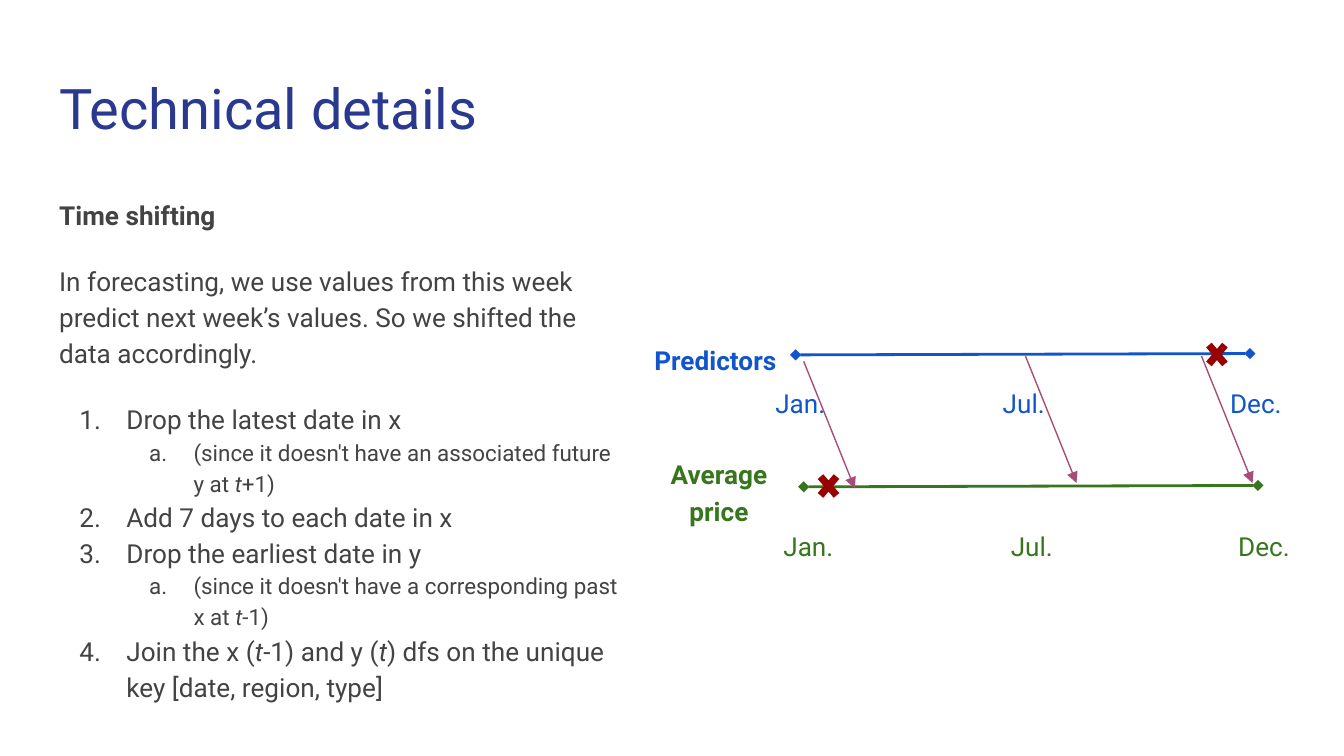
from lxml import etree
from pptx import Presentation
from pptx.dml.color import RGBColor
from pptx.enum.shapes import MSO_CONNECTOR, MSO_SHAPE
from pptx.enum.text import MSO_ANCHOR, MSO_AUTO_SIZE, PP_ALIGN
from pptx.oxml.ns import qn
from pptx.util import Inches, Pt

STRAIGHT = MSO_CONNECTOR.STRAIGHT
CROSS = MSO_SHAPE.MATH_MULTIPLY
TOP = MSO_ANCHOR.TOP
NO_FIT = MSO_AUTO_SIZE.NONE
LEFT, CENTER = PP_ALIGN.LEFT, PP_ALIGN.CENTER

WIDTH, HEIGHT = Inches(10), Inches(5.625)
FONT = "Roboto"
COLORS = {
    "title": "2A3990",
    "body": "434343",
    "predictors": "1155CC",
    "price": "38761D",
    "shift": "A64D79",
    "dropped": "990000",
}
MONTHS = [("Jan.", 5.8), ("Jul.", 5.8), ("Dec.", 6.7)]
MONTH_STEP = 16.92
AXIS_LENGTH = 33.8

# Each step: text pieces (every second one italic) and its list level
STEPS = [
    (["Drop the latest date in x"], 0),
    (["(since it doesn't have an associated future y at ", "t", "+1)"], 1),
    (["Add 7 days to each date in x"], 0),
    (["Drop the earliest date in y"], 0),
    (["(since it doesn't have a corresponding past x at ", "t", "-1)"], 1),
    (["Join the x (", "t", "-1) and y (", "t",
      ") dfs on the unique key [date, region, type]"], 0),
]
LEVELS = [
    {"size": 14, "margin": 0.5, "indent": -0.35, "numbering": "arabicPeriod"},
    {"size": 12, "margin": 1, "indent": -0.33, "numbering": "alphaLcPeriod"},
]


def color(key):
    return RGBColor.from_string(COLORS[key])


def share(*percents):
    """Turn alternating x and y percentages of the slide into lengths."""
    return [round((HEIGHT if i % 2 else WIDTH) * value / 100)
            for i, value in enumerate(percents)]


def set_values(target, values):
    for name, value in values.items():
        setattr(target, name, value)


def place(shape, *box):
    set_values(shape, dict(zip(("left", "top", "width", "height"), share(*box))))


def prepare_frame(frame):
    inset = Inches(0.1)
    set_values(frame, {
        "word_wrap": True, "auto_size": NO_FIT, "vertical_anchor": TOP,
        "margin_left": inset, "margin_right": inset,
        "margin_top": inset, "margin_bottom": inset,
    })


def write(paragraph, pieces, ink, size=14, bold=False, align=LEFT, **spacing):
    """Fill a paragraph with pieces that alternate upright and italic."""
    set_values(paragraph, {"alignment": align, "space_before": Pt(0),
                           "space_after": Pt(0), **spacing})
    for i, piece in enumerate(pieces):
        run = paragraph.add_run()
        run.text = piece
        set_values(run.font, {"name": FONT, "size": Pt(size),
                              "bold": bold, "italic": i % 2 == 1})
        run.font.color.rgb = color(ink)


def set_bullet(paragraph, margin=0, indent=0, numbering=None):
    properties = paragraph._p.get_or_add_pPr()
    properties.set("marL", str(Inches(margin)))
    properties.set("indent", str(Inches(indent)))
    if numbering is None:
        etree.SubElement(properties, qn("a:buNone"))
        return
    ink = etree.SubElement(properties, qn("a:buClr"))
    etree.SubElement(ink, qn("a:srgbClr"), val=COLORS["body"])
    etree.SubElement(properties, qn("a:buFont"), typeface=FONT)
    etree.SubElement(properties, qn("a:buAutoNum"), type=numbering)


def fill_title(title):
    place(title, 3.4, 8, 93.2, 11.74)
    prepare_frame(title.text_frame)
    write(title.text_frame.paragraphs[0], ["Technical details"], "title", 30)


def fill_body(body):
    place(body, 3.4, 24, 43.7, 64.9)
    frame = body.text_frame
    prepare_frame(frame)
    heading = frame.paragraphs[0]
    write(heading, ["Time shifting"], "body", bold=True, line_spacing=1.15)
    set_bullet(heading)
    intro = frame.add_paragraph()
    write(intro, ["In forecasting, we use values from this week predict next "
                  "week’s values. So we shifted the data accordingly."],
          "body", line_spacing=1.15, space_before=Pt(16))
    set_bullet(intro)
    for number, (pieces, depth) in enumerate(STEPS):
        level = LEVELS[depth]
        step = frame.add_paragraph()
        step.level = depth
        write(step, pieces, "body", level["size"], line_spacing=1.15,
              space_before=Pt(0 if number else 16))
        set_bullet(step, level["margin"], level["indent"], level["numbering"])


def add_label(slide, text, box, ink, **style):
    label = slide.shapes.add_textbox(*share(*box))
    prepare_frame(label.text_frame)
    write(label.text_frame.paragraphs[0], [text], ink,
          line_spacing=1.15, space_after=Pt(16), **style)


def add_line(slide, ends, ink, weight, tail, head=None):
    line = slide.shapes.add_connector(STRAIGHT, *share(*ends))
    line.line.color.rgb = color(ink)
    line.line.width = Pt(weight)
    outline = line.line._get_or_add_ln()
    for tag, kind in (("a:headEnd", head), ("a:tailEnd", tail)):
        if kind:
            etree.SubElement(outline, qn(tag), type=kind)
    etree.SubElement(line._element.spPr, qn("a:effectLst"))


def add_timeline(slide, start, level, month_top, ink):
    add_line(slide, (start, level, start + AXIS_LENGTH, level - 0.18),
             ink, 1.5, "diamond", "diamond")
    for i, (month, width) in enumerate(MONTHS):
        add_label(slide, month,
                  (start - 2.5 + i * MONTH_STEP, month_top, width, 7.3), ink)


def add_cross(slide, left, top):
    cross = slide.shapes.add_shape(CROSS, *share(left, top, 2.3, 4.8))
    cross.adjustments[0] = 0.235
    cross.shadow.inherit = False
    cross.fill.solid()
    cross.fill.fore_color.rgb = color("dropped")
    cross.line.fill.background()


def main():
    deck = Presentation()
    set_values(deck, {"slide_width": WIDTH, "slide_height": HEIGHT})
    slide = deck.slides.add_slide(deck.slide_layouts[1])
    fill_title(slide.shapes.title)
    fill_body(slide.placeholders[1])

    add_timeline(slide, 59.8, 64.4, 67.7, "price")
    add_timeline(slide, 59.2, 46.95, 48.9, "predictors")
    add_label(slide, "Predictors", (47.7, 43.2, 11.6, 7.3),
              "predictors", bold=True)
    add_label(slide, "Average price", (48.7, 58.3, 9.6, 11.74),
              "price", bold=True, align=CENTER)

    for start, top in ((59.8, 47.8), (76.3, 47.1), (89.4, 47.1)):
        add_line(slide, (start, top, start + 3.8, top + 16.8),
                 "shift", 0.75, "triangle")
    for left, top in ((89.4, 44.5), (60.5, 61.9)):
        add_cross(slide, left, top)
    deck.save("out.pptx")


if __name__ == "__main__":
    main()
